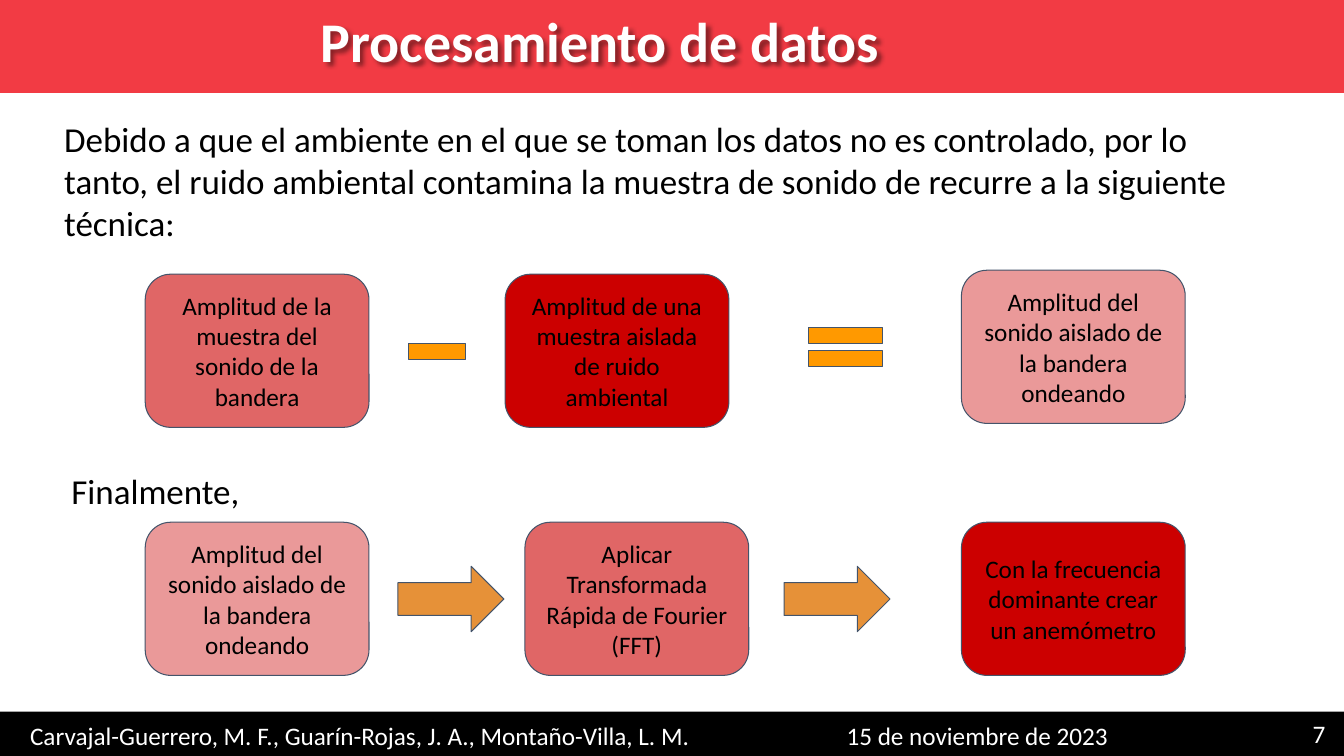
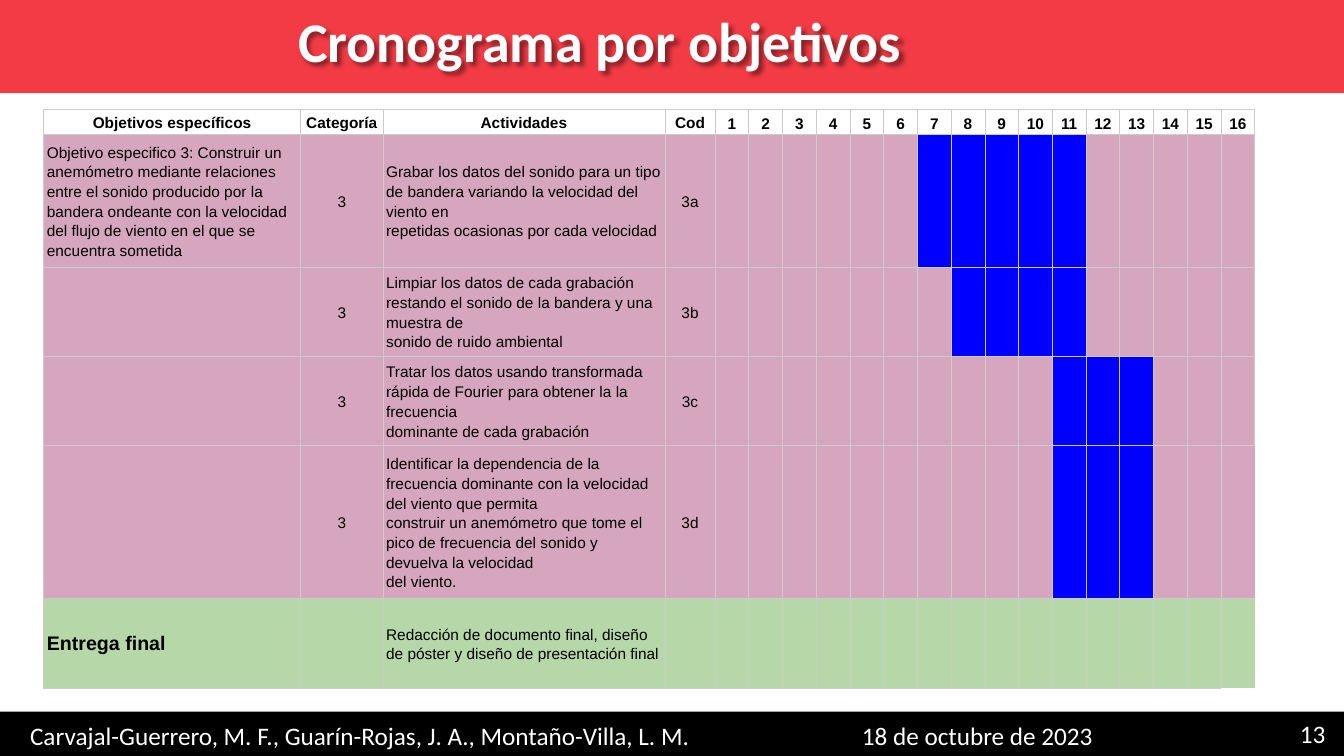
from lxml.etree import SubElement
from pptx import Presentation
from pptx.dml.color import RGBColor
from pptx.enum.shapes import MSO_SHAPE as SHAPE
from pptx.enum.text import MSO_ANCHOR as ANCHOR, PP_ALIGN as ALIGN
from pptx.oxml import parse_xml
from pptx.oxml.ns import nsdecls, qn
from pptx.util import Cm, Pt

COLORS = {
    "title_band": "F23B44", "white": "FFFFFF", "black": "000000",
    "outline": "44546A", "light": "EA9999", "medium": "E06666",
    "strong": "CC0000", "operator": "FF9900", "arrow": "E69138",
    "grid": "CCCCCC", "task": "D5A6BD", "active": "0000FF", "delivery": "B6D7A8",
}


def write(tf, text, size, color="black", align=ALIGN.LEFT, font="Calibri", bold=False, spacing=None):
    tf.word_wrap = True
    for i, line in enumerate(text.split("\n")):
        p = tf.paragraphs[0] if i == 0 else tf.add_paragraph()
        p.text = line
        p.alignment = align
        p.line_spacing = spacing
        p.font.size = Pt(size)
        p.font.name = font
        p.font.bold = bold
        p.font.color.rgb = RGBColor.from_string(COLORS[color])


def add_shape(s, kind, x, y, w, h, fill, outline=True):
    sp = s.shapes.add_shape(kind, Cm(x), Cm(y), Cm(w), Cm(h))
    sp.shadow.inherit = False
    sp.fill.solid()
    sp.fill.fore_color.rgb = RGBColor.from_string(COLORS[fill])
    if outline:
        sp.line.color.rgb = RGBColor.from_string(COLORS["outline"])
        sp.line.width = Pt(0.75)
    else:
        sp.line.fill.background()
    return sp


prs = Presentation()
prs.slide_width, prs.slide_height = Cm(33.87), Cm(19.05)

AUTHORS = "Carvajal-Guerrero, M. F., Guarín-Rojas, J. A., Montaño-Villa, L. M."
slides = []
for title, date, number in [
    ("Procesamiento de datos", "15 de noviembre de 2023", "7"),
    ("Cronograma por objetivos", "18 de octubre de 2023", "13"),
]:
    s = prs.slides.add_slide(prs.slide_layouts[6])
    slides.append(s)
    add_shape(s, SHAPE.RECTANGLE, 0, 0, 33.87, 2.34, "title_band", outline=False)
    tb = s.shapes.add_textbox(Cm(0.36), Cm(0.03), Cm(29.51), Cm(1.96))
    write(tb.text_frame, title, 40, "white", ALIGN.CENTER, bold=True)
    tb.element.spPr.append(parse_xml(
        f'<a:effectLst {nsdecls("a")}><a:outerShdw blurRad="38100" dist="38100" dir="2700000">'
        '<a:srgbClr val="000000"><a:alpha val="43000"/></a:srgbClr></a:outerShdw></a:effectLst>'))
    add_shape(s, SHAPE.RECTANGLE, 0, 17.93, 33.87, 1.12, "black", outline=False)
    for text, x, y, w, align in [
        (AUTHORS, 0, 18.01, 18.14, ALIGN.CENTER),
        (number, 31.11, 17.96, 2.54, ALIGN.RIGHT),
        (date, 16.92, 18.01, 15.42, ALIGN.CENTER),
    ]:
        tb = s.shapes.add_textbox(Cm(x), Cm(y), Cm(w), Cm(1.02))
        tb.text_frame.vertical_anchor = ANCHOR.MIDDLE
        write(tb.text_frame, text, 18, "white", align)

process, schedule = slides

for text, x, y, w, h in [
    ("Debido a que el ambiente en el que se toman los datos no es controlado, por lo tanto, "
     "el ruido ambiental contamina la muestra de sonido de recurre a la siguiente técnica:",
     1.37, 2.72, 30.78, 3.71),
    ("Finalmente,", 1.55, 11.58, 21.39, 1.57),
]:
    tb = process.shapes.add_textbox(Cm(x), Cm(y), Cm(w), Cm(h))
    tb.text_frame.margin_top = tb.text_frame.margin_bottom = Cm(0.25)
    write(tb.text_frame, text, 25)

ISOLATED = "Amplitud del sonido aislado de la bandera ondeando"
for text, x, y, fill in [
    ("Amplitud de la muestra del sonido de la bandera", 3.66, 6.91, "medium"),
    ("Amplitud de una muestra aislada de ruido ambiental", 12.73, 6.91, "strong"),
    (ISOLATED, 24.23, 6.81, "light"),
    (ISOLATED, 3.66, 13.16, "light"),
    ("Aplicar Transformada Rápida de Fourier\n(FFT)", 13.23, 13.16, "medium"),
    ("Con la frecuencia dominante crear un anemómetro", 24.23, 13.16, "strong"),
]:
    sp = add_shape(process, SHAPE.ROUNDED_RECTANGLE, x, y, 5.64, 3.86, fill)
    tf = sp.text_frame
    tf.margin_top = tf.margin_bottom = Cm(0.25)
    tf.vertical_anchor = ANCHOR.MIDDLE
    write(tf, text, 18, align=ALIGN.CENTER)

for kind, x, y, w, fill in [
    (SHAPE.MATH_MINUS, 10.03, 8.03, 1.96, "operator"),
    (SHAPE.MATH_EQUAL, 20.04, 7.92, 2.54, "operator"),
    (SHAPE.RIGHT_ARROW, 10.03, 14.27, 2.67, "arrow"),
    (SHAPE.RIGHT_ARROW, 19.76, 14.27, 2.67, "arrow"),
]:
    add_shape(process, kind, x, y, w, 1.65, fill)

WEEKS = 16
widths = [6.48, 2.07, 7.11, 1.26] + [0.85] * WEEKS
heights = [0.63, 3.33, 2.25, 2.25, 3.86, 2.25]
headers = ["Objetivos específicos", "Categoría", "Actividades", "Cod"]
headers += [str(week) for week in range(1, WEEKS + 1)]
tasks = [
    ("Objetivo especifico 3: Construir un anemómetro mediante relaciones entre el sonido "
     "producido por la bandera ondeante con la velocidad del flujo de viento en el que se "
     "encuentra sometida", "3",
     "Grabar los datos del sonido para un tipo de bandera variando la velocidad del viento en\n"
     "repetidas ocasionas por cada velocidad", "3a"),
    ("", "3",
     "Limpiar los datos de cada grabación restando el sonido de la bandera y una muestra de\n"
     "sonido de ruido ambiental", "3b"),
    ("", "3",
     "Tratar los datos usando transformada rápida de Fourier para obtener la la frecuencia\n"
     "dominante de cada grabación", "3c"),
    ("", "3",
     "Identificar la dependencia de la frecuencia dominante con la velocidad del viento que permita\n"
     "construir un anemómetro que tome el pico de frecuencia del sonido y devuelva la velocidad\n"
     "del viento.", "3d"),
    ("Entrega final", "",
     "Redacción de documento final, diseño de póster y diseño de presentación final", ""),
]
active_weeks = {1: range(7, 12), 2: range(8, 12), 3: range(11, 14), 4: range(11, 14)}
rows = [headers] + [list(task) + [""] * WEEKS for task in tasks]
last_row, last_col = len(rows) - 1, len(widths) - 1
open_sides = {(last_row - 1, last_col): "R", (last_row, last_col): "RB"}

frame = schedule.shapes.add_table(
    len(rows), len(widths), Cm(1.1), Cm(2.76), Cm(sum(widths)), Cm(sum(heights)))
table = frame.table
table.first_row = table.horz_banding = False
table._tbl.tblPr.find(qn("a:tableStyleId")).text = "{2D5ABB26-0587-4C30-8999-92F81FD0307C}"
for column, width in zip(table.columns, widths):
    column.width = Cm(width)
for row, height in zip(table.rows, heights):
    row.height = Cm(height)

for i, row in enumerate(rows):
    for j, text in enumerate(row):
        cell = table.cell(i, j)
        cell.margin_left = cell.margin_right = Cm(0.08)
        cell.margin_top = cell.margin_bottom = Cm(0.05)
        cell.vertical_anchor = ANCHOR.BOTTOM if i == 0 and j > 3 else ANCHOR.MIDDLE
        for side in "LRTB":
            if side in open_sides.get((i, j), ""):
                continue
            ln = SubElement(cell._tc.get_or_add_tcPr(), qn(f"a:ln{side}"), w=str(Pt(0.6)))
            SubElement(SubElement(ln, qn("a:solidFill")), qn("a:srgbClr"), val=COLORS["grid"])
        if i == 0:
            cell.fill.background()
        else:
            fill = "delivery" if i == last_row else "task"
            if j - 3 in active_weeks.get(i, ()):
                fill = "active"
            cell.fill.solid()
            cell.fill.fore_color.rgb = RGBColor.from_string(COLORS[fill])
        if text:
            final = i == last_row and j == 0
            centered = i == 0 or j in (1, 3)
            write(cell.text_frame, text, 14 if final else 11,
                  align=ALIGN.CENTER if centered else ALIGN.LEFT, font="Arial",
                  bold=i == 0 or final, spacing=None if final else 1.15)

prs.save("out.pptx")
